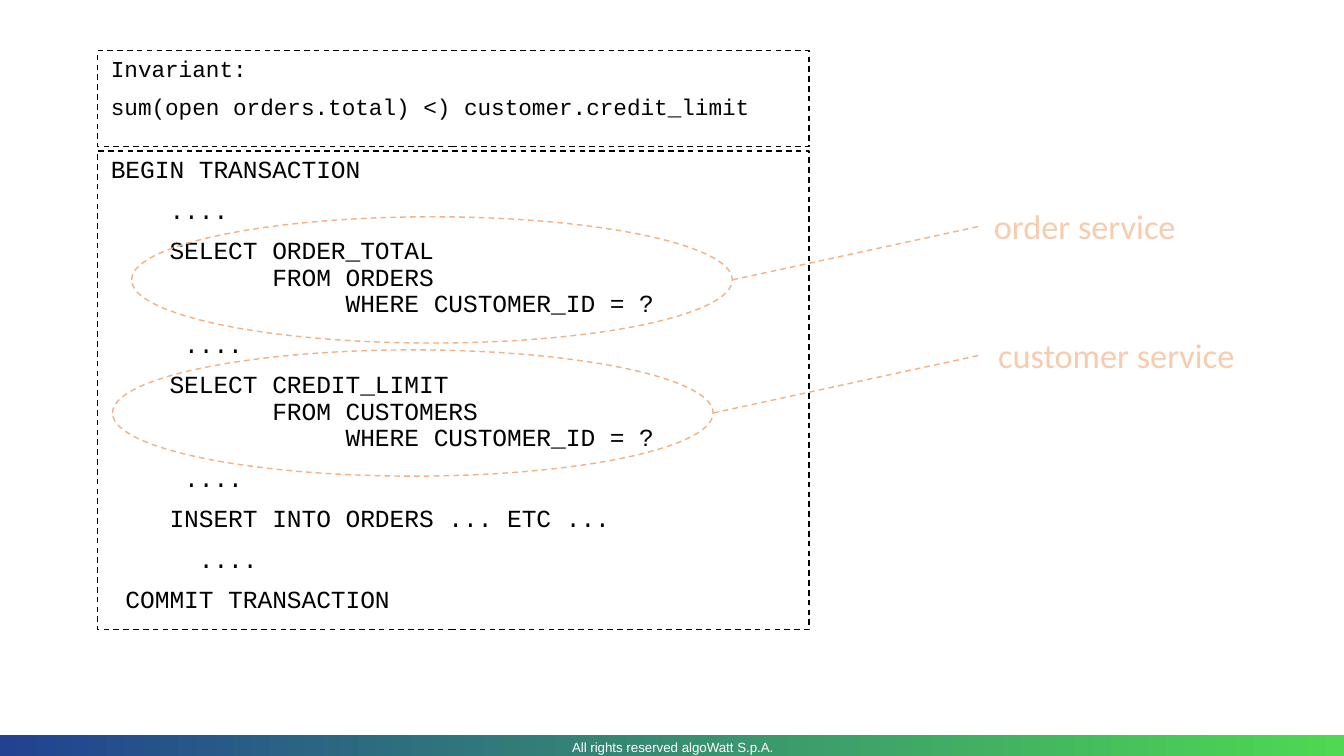
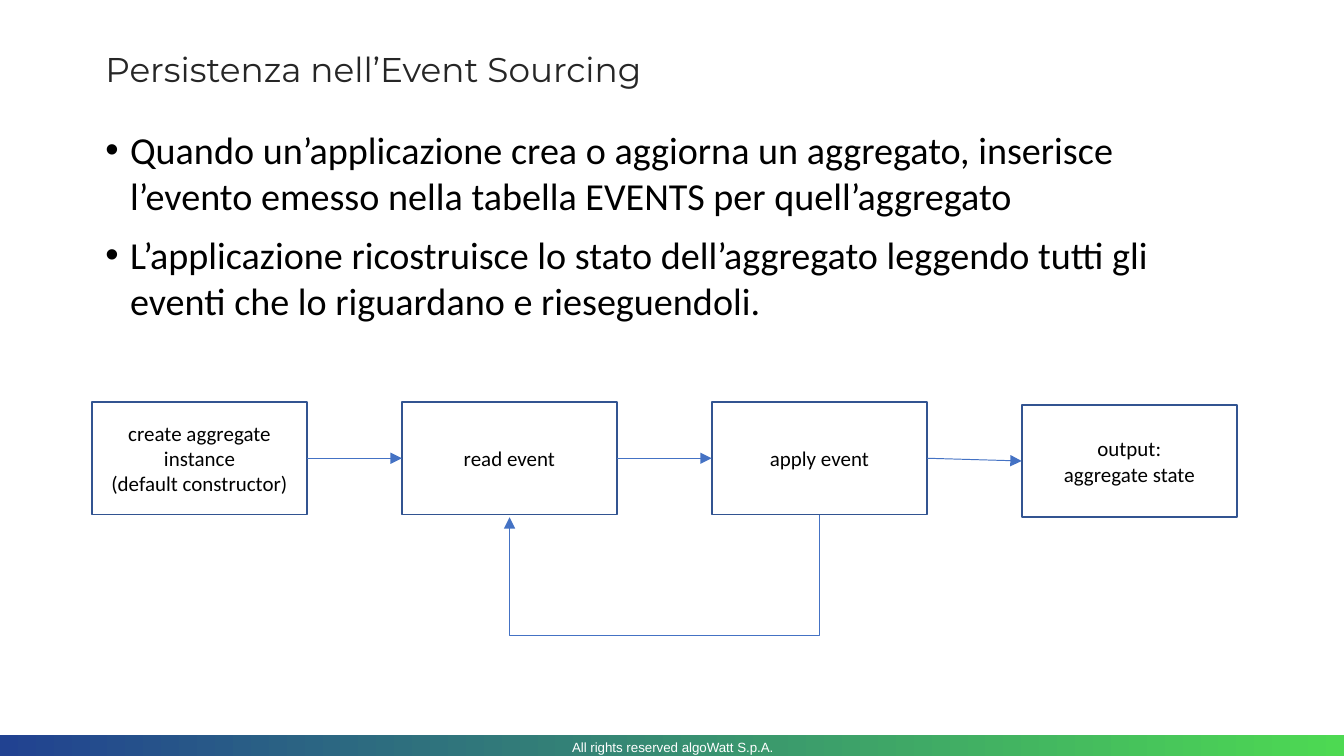
import pptx
import pptx.dml.color
import pptx.enum.dml
import pptx.enum.shapes
import pptx.enum.text
import pptx.oxml
import pptx.oxml.ns
import pptx.util
from lxml import etree

Inches = pptx.util.Inches
Pt = pptx.util.Pt
ALIGN = pptx.enum.text.PP_ALIGN
ANCHOR = pptx.enum.text.MSO_ANCHOR
SHAPE = pptx.enum.shapes.MSO_SHAPE
CONNECTOR = pptx.enum.shapes.MSO_CONNECTOR

WIDTH, HEIGHT = 9.8, 5.51
BLACK, WHITE, TITLE_COLOR = "000000", "FFFFFF", "262626"
BAND_LEFT, BAND_RIGHT = "214291", "4DD952"
ORANGE, PALE_ORANGE = "F4B183", "F8CBAD"
BOX_BLUE, ARROW_BLUE = "325491", "4472C4"
FOOTER = "All rights reserved algoWatt S.p.A."

# Code panels: top, height, font size, paragraphs
PANEL_LEFT, PANEL_WIDTH = 0.71, 5.19
PANELS = [
    (1.1, 3.49, 12.9, [
        "BEGIN TRANSACTION",
        "    ....",
        "    SELECT ORDER_TOTAL\n           FROM ORDERS\n                WHERE CUSTOMER_ID = ?",
        "     ....",
        "    SELECT CREDIT_LIMIT\n           FROM CUSTOMERS\n                WHERE CUSTOMER_ID = ?",
        "     ....",
        "    INSERT INTO ORDERS ... ETC ...",
        "      ....",
        " COMMIT TRANSACTION",
    ]),
    (0.37, 0.7, 11.9, [
        "Invariant:",
        "sum(open orders.total) <) customer.credit_limit",
    ]),
]

# Services: name, ellipse left, ellipse top, label top, label width
SERVICES = [
    ("order service", 0.96, 1.58, 1.45, 1.54),
    ("customer service", 0.82, 2.55, 2.39, 2),
]
ELLIPSE_WIDTH, ELLIPSE_HEIGHT = 4.38, 0.92
LABEL_LEFT, LABEL_HEIGHT = 7.14, 0.4

TITLE = "Persistenza nell’Event Sourcing"
BULLETS = [
    "Quando un’applicazione crea o aggiorna un aggregato, inserisce "
    "l’evento emesso nella tabella EVENTS per quell’aggregato",
    "L’applicazione ricostruisce lo stato dell’aggregato leggendo tutti gli "
    "eventi che lo riguardano e rieseguendoli.",
]

# Flow steps: top, lines
STEPS = [
    (2.93, ["create aggregate", "instance", "(default constructor)"]),
    (2.93, ["read event"]),
    (2.93, ["apply event"]),
    (2.95, ["output:", "aggregate state"]),
]
STEP_LEFT, STEP_PITCH, STEP_WIDTH, STEP_HEIGHT = 0.67, 2.26, 1.57, 0.82
LOOP_DROP, LOOP_RISE = 0.88, 0.02


def color(hex_string):
    return pptx.dml.color.RGBColor.from_string(hex_string)


def style_line(line, hex_string, width, dashed=False):
    line.color.rgb = color(hex_string)
    line.width = Pt(width)
    if dashed:
        line.dash_style = pptx.enum.dml.MSO_LINE.DASH


def add_box(slide, left, top, width, height, fill=None, line=None, preset=SHAPE.RECTANGLE):
    """Add a preset shape; line is (colour, width, dashed)."""
    shape = slide.shapes.add_shape(
        preset, Inches(left), Inches(top), Inches(width), Inches(height))
    shape.shadow.inherit = False
    if fill:
        shape.fill.solid()
        shape.fill.fore_color.rgb = color(fill)
    else:
        shape.fill.background()
    if line:
        style_line(shape.line, *line)
    else:
        shape.line.fill.background()
    return shape


def add_text_box(slide, left, top, width, height):
    return slide.shapes.add_textbox(
        Inches(left), Inches(top), Inches(width), Inches(height))


def add_bullet(paragraph, indent):
    properties = paragraph._p.get_or_add_pPr()
    properties.set("marL", str(Inches(indent)))
    properties.set("indent", str(-Inches(indent)))
    for tag, name, value in (("a:buFont", "typeface", "Arial"), ("a:buChar", "char", "•")):
        etree.SubElement(properties, pptx.oxml.ns.qn(tag)).set(name, value)


def write(shape, texts, font, size, hex_string, align=ALIGN.LEFT, anchor=ANCHOR.TOP,
          wrap=True, line_spacing=None, space_before=0, bullet_indent=None):
    """Write one paragraph per text; a newline inside a text is a line break."""
    frame = shape.text_frame
    frame.word_wrap = wrap
    frame.vertical_anchor = anchor
    for index, text in enumerate(texts):
        paragraph = frame.add_paragraph() if index else frame.paragraphs[0]
        paragraph.alignment = align
        if line_spacing:
            paragraph.line_spacing = line_spacing
        if index and space_before:
            paragraph.space_before = Pt(space_before)
        if bullet_indent:
            add_bullet(paragraph, bullet_indent)
        for line_index, line in enumerate(text.split("\n")):
            if line_index:
                paragraph.add_line_break()
            run = paragraph.add_run()
            run.text = line
            run.font.name = font
            run.font.size = Pt(size)
            run.font.color.rgb = color(hex_string)
        paragraph.font.size = Pt(size)


def add_line(slide, start, end, line, arrow=False, kind=CONNECTOR.STRAIGHT):
    connector = slide.shapes.add_connector(
        kind, *(Inches(value) for value in (*start, *end)))
    style_line(connector.line, *line)
    if arrow:
        tail = etree.SubElement(connector.line._get_or_add_ln(), pptx.oxml.ns.qn("a:tailEnd"))
        tail.set("type", "triangle")
    etree.SubElement(connector._element.spPr, pptx.oxml.ns.qn("a:effectLst"))
    return connector


def add_loop(slide, start_x, end_x, top):
    """Draw an elbow that drops from start_x and climbs back to end_x."""
    center_x, center_y = (start_x + end_x) / 2, top + LOOP_RISE / 2
    span = start_x - end_x
    left, upper = center_x - LOOP_RISE / 2, center_y - span / 2
    loop = add_line(slide, (left, upper), (left + LOOP_RISE, upper + span),
                    (ARROW_BLUE, 0.5), arrow=True, kind=CONNECTOR.ELBOW)
    properties = loop._element.spPr
    properties.find(pptx.oxml.ns.qn("a:xfrm")).set("rot", str(90 * 60000))
    adjustments = properties.find(
        pptx.oxml.ns.qn("a:prstGeom")).get_or_add_avLst()
    guide = etree.SubElement(adjustments, pptx.oxml.ns.qn("a:gd"))
    guide.set("name", "adj1")
    guide.set("fmla", f"val {round(LOOP_DROP / LOOP_RISE * 100000)}")


def add_slide(presentation):
    """Add a blank slide with the gradient band and its footer."""
    slide = presentation.slides.add_slide(presentation.slide_layouts[6])
    band = add_box(slide, 0, 5.36, WIDTH, 0.15)
    band.fill.gradient()
    band.fill.gradient_angle = 0
    for stop, position, hex_string in zip(
            band.fill.gradient_stops, (0, 1), (BAND_LEFT, BAND_RIGHT)):
        stop.position = position
        stop.color.rgb = color(hex_string)
    footer = add_text_box(slide, 3.25, 5.3, 3.31, 0.29)
    write(footer, [FOOTER], "Arial", 7, WHITE, ALIGN.CENTER, ANCHOR.MIDDLE)
    return slide


def build_transaction_slide(presentation):
    slide = add_slide(presentation)
    for top, height, size, code in PANELS:
        panel = add_box(slide, PANEL_LEFT, top, PANEL_WIDTH, height, line=(BLACK, 0.75, True))
        write(panel, code, "Courier New", size, BLACK, line_spacing=0.9, space_before=7.3)
    dashed_orange = (ORANGE, 0.75, True)
    for name, left, top, label_top, label_width in SERVICES:
        add_box(slide, left, top, ELLIPSE_WIDTH, ELLIPSE_HEIGHT,
                line=dashed_orange, preset=SHAPE.OVAL)
        add_line(slide, (left + ELLIPSE_WIDTH, top + ELLIPSE_HEIGHT / 2),
                 (LABEL_LEFT, label_top + LABEL_HEIGHT / 2), dashed_orange)
        label = add_text_box(slide, LABEL_LEFT, label_top, label_width, LABEL_HEIGHT)
        write(label, [name], "Calibri", 18, PALE_ORANGE, ALIGN.CENTER, wrap=False)


def build_event_sourcing_slide(presentation):
    slide = add_slide(presentation)
    title = add_text_box(slide, 0.67, 0.29, 8.45, 0.43)
    write(title, [TITLE], "Montserrat", 18, TITLE_COLOR, anchor=ANCHOR.MIDDLE)
    body = add_text_box(slide, 0.67, 0.87, 8.45, 3.89)
    write(body, BULLETS, "Calibri", 20, BLACK, space_before=7.3, bullet_indent=0.18)

    boxes = []
    for index, (top, lines) in enumerate(STEPS):
        box = add_box(slide, STEP_LEFT + index * STEP_PITCH, top, STEP_WIDTH, STEP_HEIGHT,
                      WHITE, (BOX_BLUE, 1))
        write(box, lines, "Calibri", 11, BLACK, ALIGN.CENTER, ANCHOR.MIDDLE)
        boxes.append(box)
    for before, after in zip(boxes, boxes[1:]):
        arrow = add_line(slide, (0, 0), (1, 1), (ARROW_BLUE, 0.5), arrow=True)
        arrow.begin_connect(before, 3)
        arrow.end_connect(after, 1)
    read_center = STEP_LEFT + STEP_PITCH + STEP_WIDTH / 2
    add_loop(slide, read_center + STEP_PITCH, read_center, STEPS[1][0] + STEP_HEIGHT)


def main():
    presentation = pptx.Presentation()
    presentation.slide_width = Inches(WIDTH)
    presentation.slide_height = Inches(HEIGHT)
    build_transaction_slide(presentation)
    build_event_sourcing_slide(presentation)
    presentation.save("out.pptx")


if __name__ == "__main__":
    main()
